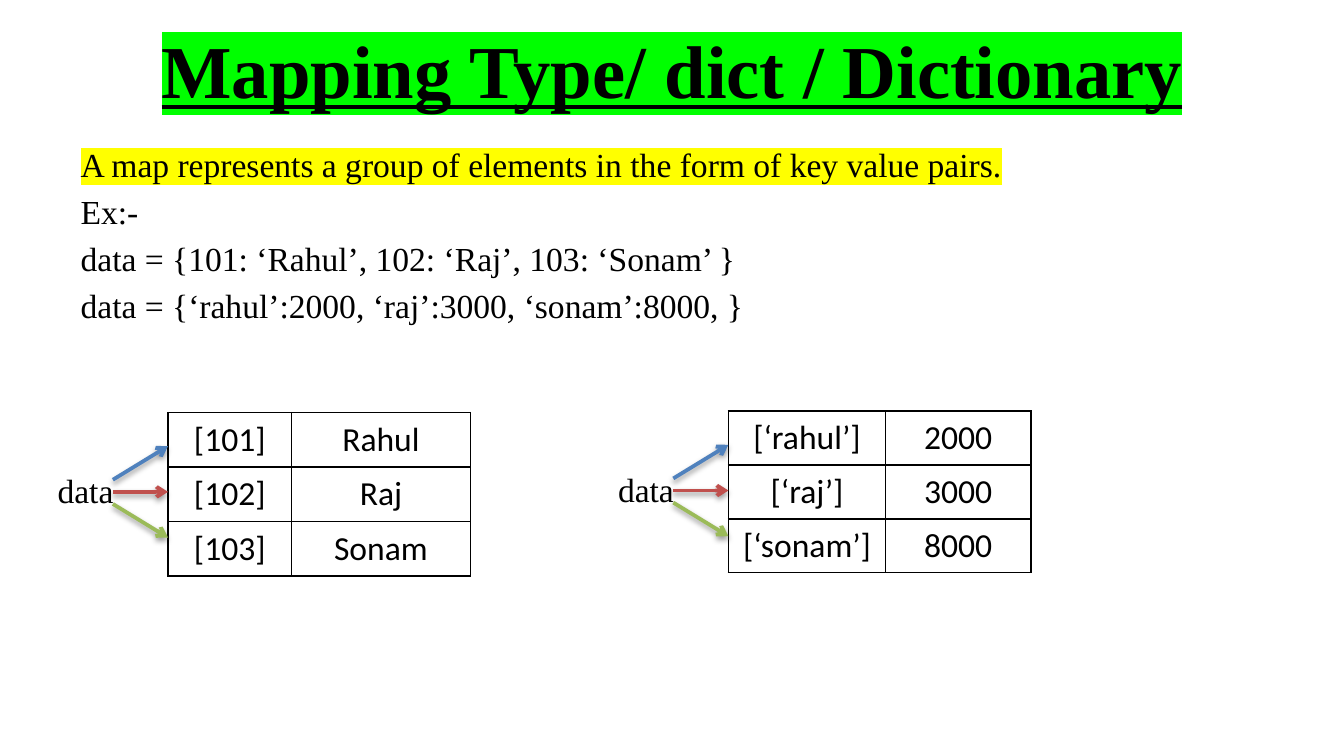
"""Build a slide that introduces the dictionary type with two key/value tables."""
from dataclasses import dataclass

from lxml import etree
from pptx import Presentation
from pptx import util as u
from pptx.dml.color import RGBColor
from pptx.enum import shapes, text
from pptx.oxml import ns


@dataclass(frozen=True)
class Theme:
    ink: str = "000000"
    title_mark: str = "00FF00"
    body_mark: str = "FFFF00"
    arrows: tuple = ("4F81BD", "C0504D", "9BBB59")
    serif: str = "Times New Roman"
    sans: str = "Calibri"
    title_size: int = 40
    text_size: int = 18


THEME = Theme()
SLIDE_WIDTH = 10
LINES = (
    "A map represents a group of elements in the form of key value pairs.",
    "Ex:-",
    "data = {101: ‘Rahul’, 102: ‘Raj’, 103: ‘Sonam’ }",
    "data = {‘rahul’:2000, ‘raj’:3000, ‘sonam’:8000, }",
)
MAPS = (
    (1.25, 3.07, (0.92, 1.33),
     (("[101]", "Rahul"), ("[102]", "Raj"), ("[103]", "Sonam"))),
    (5.42, 3.06, (1.17, 1.08),
     (("[‘rahul’]", "2000"), ("[‘raj’]", "3000"), ("[‘sonam’]", "8000"))),
)
ROW_HEIGHT = 0.4


def apply(target, **values):
    for name, value in values.items():
        setattr(target, name, value)


def add_xml(parent, tag, **attributes):
    element = etree.SubElement(parent, ns.qn(tag))
    for name, value in attributes.items():
        element.set(name, str(value))
    return element


def place(sp, left, top, width, height):
    apply(sp, left=u.Inches(left), top=u.Inches(top),
          width=u.Inches(width), height=u.Inches(height))


def write(p, words, mark=None, **formats):
    r = p.add_run()
    r.text = words
    if mark:
        highlight = add_xml(r._r.get_or_add_rPr(), "a:highlight")
        add_xml(highlight, "a:srgbClr", val=mark)
    apply(r.font, **{"name": THEME.serif, "size": u.Pt(THEME.text_size), **formats})
    r.font.color.rgb = RGBColor.from_string(THEME.ink)


def fill_title(sp):
    place(sp, 0.5, 0.04, 9, 0.94)
    apply(sp.text_frame, auto_size=text.MSO_AUTO_SIZE.NONE,
          vertical_anchor=text.MSO_ANCHOR.MIDDLE)
    p = sp.text_frame.paragraphs[0]
    p.alignment = text.PP_ALIGN.CENTER
    write(p, "Mapping Type/ dict / Dictionary", THEME.title_mark,
          size=u.Pt(THEME.title_size), bold=True, underline=True)


def fill_body(sp):
    place(sp, 0.5, 1.02, 9, 1.88)
    tf = sp.text_frame
    tf.auto_size = text.MSO_AUTO_SIZE.NONE
    for i, words in enumerate(LINES):
        p = tf.add_paragraph() if i else tf.paragraphs[0]
        properties = p._p.get_or_add_pPr()
        properties.set("marL", "0")
        properties.set("indent", "0")
        add_xml(properties, "a:buNone")
        if i == 0:
            p.space_before = u.Pt(0)
        write(p, words, None if i else THEME.body_mark)


def format_cell(cell, words):
    properties = cell._tc.get_or_add_tcPr()
    for side in "LRTB":
        border = add_xml(properties, f"a:ln{side}", w=u.Pt(1))
        add_xml(add_xml(border, "a:solidFill"), "a:srgbClr", val=THEME.ink)
    cell.fill.background()
    p = cell.text_frame.paragraphs[0]
    p.alignment = text.PP_ALIGN.CENTER
    write(p, words, name=THEME.sans)


def add_map_table(s, left, top, widths, rows):
    frame = s.shapes.add_table(
        len(rows), len(widths), u.Inches(left), u.Inches(top),
        u.Inches(sum(widths)), u.Inches(ROW_HEIGHT * len(rows)))
    table = frame.table
    apply(table, first_row=False, horz_banding=False)
    for column, width in zip(table.columns, widths):
        column.width = u.Inches(width)
    for i, row in enumerate(rows):
        for j, words in enumerate(row):
            format_cell(table.cell(i, j), words)


def add_label(s, left, top):
    sp = s.shapes.add_textbox(
        u.Inches(left), u.Inches(top), u.Inches(0.62), u.Inches(0.4))
    apply(sp.text_frame, word_wrap=False,
          auto_size=text.MSO_AUTO_SIZE.SHAPE_TO_FIT_TEXT)
    write(sp.text_frame.paragraphs[0], "data")


def add_arrow(s, start, end, color):
    sp = s.shapes.add_connector(
        shapes.MSO_CONNECTOR.STRAIGHT, *map(u.Inches, start + end))
    sp.line.width = u.Pt(2)
    sp.line.color.rgb = RGBColor.from_string(color)
    add_xml(sp.line._get_or_add_ln(), "a:tailEnd", type="arrow")
    effects = add_xml(sp._element.spPr, "a:effectLst")
    shadow = add_xml(effects, "a:outerShdw", blurRad=u.Pt(3.1), dist=u.Pt(1.6),
                     dir=90 * 60000, rotWithShape=0)
    add_xml(add_xml(shadow, "a:srgbClr", val=THEME.ink), "a:alpha", val=38000)


def add_map(s, left, top, widths, rows):
    add_map_table(s, left, top, widths, rows)
    add_label(s, left - 0.92, top + 0.38)
    middle = top + 0.59
    for step, color in zip((-1, 0, 1), THEME.arrows):
        add_arrow(s, (left - 0.41, middle + step * 0.09),
                  (left, middle + step * 0.34), color)


def main():
    prs = Presentation()
    apply(prs, slide_width=u.Inches(SLIDE_WIDTH),
          slide_height=u.Inches(SLIDE_WIDTH * 9 / 16))
    s = prs.slides.add_slide(prs.slide_layouts[1])
    fill_title(s.shapes.title)
    fill_body(s.placeholders[1])
    for entry in MAPS:
        add_map(s, *entry)
    prs.save("out.pptx")


if __name__ == "__main__":
    main()
